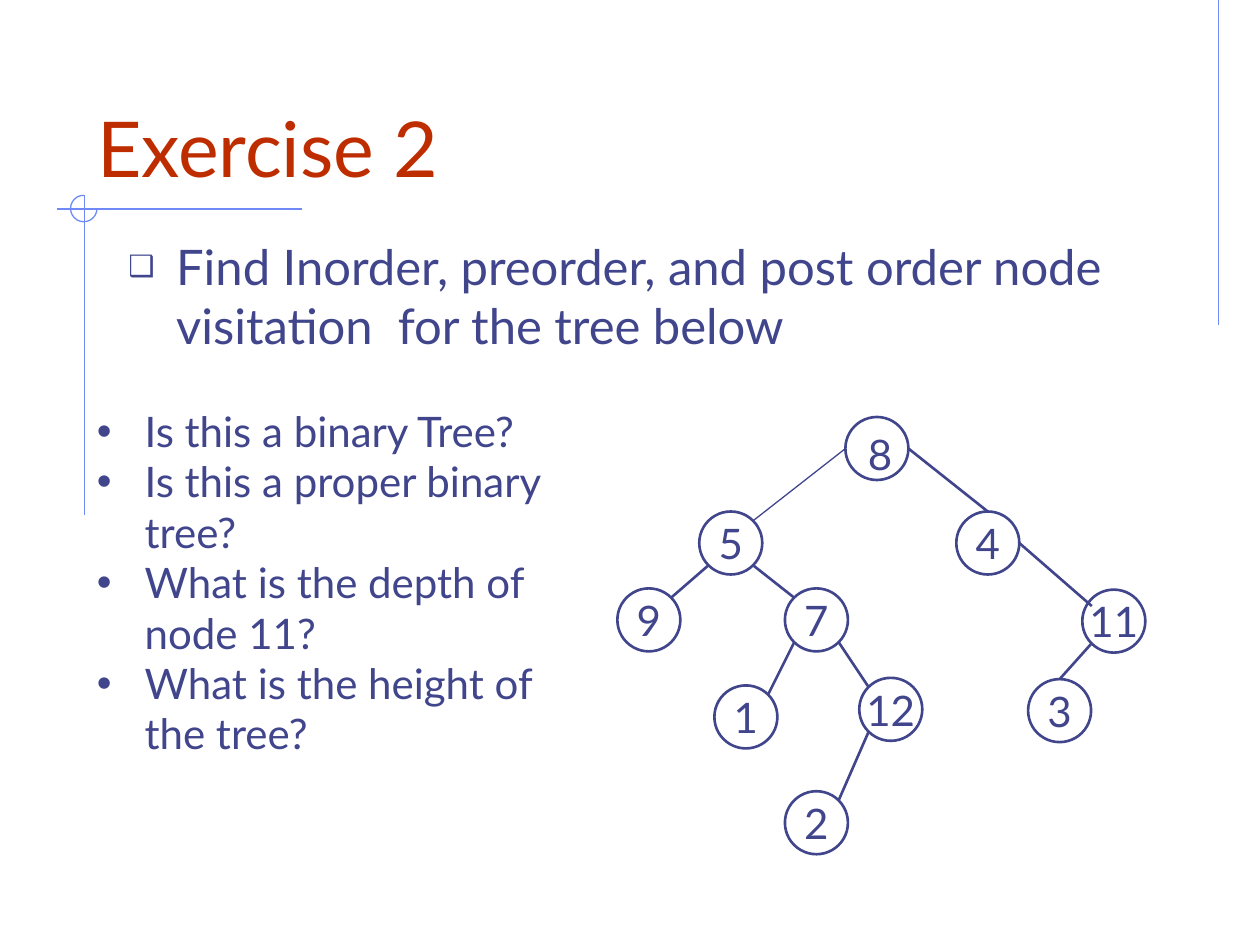
import pptx
import pptx.util
import pptx.dml.color
import pptx.enum.shapes
import pptx.enum.text
import pptx.oxml.ns
from lxml import etree

Inches, Pt = pptx.util.Inches, pptx.util.Pt
RGBColor = pptx.dml.color.RGBColor
SHAPE = pptx.enum.shapes.MSO_SHAPE
ANCHOR = pptx.enum.text.MSO_ANCHOR
ALIGN = pptx.enum.text.PP_ALIGN
FIT = pptx.enum.text.MSO_AUTO_SIZE
qn = pptx.oxml.ns.qn

INDIGO = RGBColor(0x40, 0x45, 0x8C)
RUST = RGBColor(0xBE, 0x2D, 0x00)
PERIWINKLE = RGBColor(0x6F, 0x89, 0xF7)

NODE_SIZE = 0.5
NODES = {
    "5": (5.55, 4.06), "8": (6.71, 3.31), "4": (7.59, 4.06),
    "11": (8.59, 4.68), "3": (8.16, 5.39), "7": (6.23, 4.67),
    "9": (4.9, 4.67), "12": (6.82, 5.38), "1": (5.67, 5.44),
    "2": (6.23, 6.28),
}
SITES = {
    "top": (0.5, 0), "left": (0, 0.5), "right": (1, 0.5),
    "nw": (0.15, 0.15), "ne": (0.85, 0.15),
    "sw": (0.15, 0.85), "se": (0.85, 0.85), "inner": (0.15, 0.26),
}
EDGES = [
    ("8", "left", "5", "ne", 0.75), ("8", "right", "4", "top", 1.5),
    ("4", "right", "11", "inner", 1.5), ("5", "sw", "9", "ne", 1.5),
    ("5", "se", "7", "nw", 1.5), ("7", "sw", "1", "ne", 1.5),
    ("7", "se", "12", "nw", 1.5), ("12", "sw", "2", "ne", 1.5),
    ("11", "sw", "3", "top", 1.5),
]
QUESTIONS = [
    "Is this a binary Tree?",
    "Is this a proper binary tree?",
    "What is the depth of node 11?",
    "What is the height of the tree?",
]


class Deck:
    font = "Lato"

    def __init__(self, width, height):
        self.prs = pptx.Presentation()
        self.prs.slide_width = Inches(width)
        self.prs.slide_height = Inches(height)
        self.s = self.prs.slides.add_slide(self.prs.slide_layouts[5])

    def apply(self, obj, values):
        for name, value in values.items():
            setattr(obj, name, value)

    def fill_text(self, tf, lines, size, color=INDIGO, align=ALIGN.LEFT, **frame):
        self.apply(tf, frame)
        for i, line in enumerate(lines):
            p = tf.add_paragraph() if i else tf.paragraphs[0]
            p.alignment = align
            r = p.add_run()
            r.text = line
            self.apply(r.font, {"name": self.font, "size": Pt(size)})
            r.font.color.rgb = color

    def bullet(self, p, char, percent=100):
        pPr = p._p.get_or_add_pPr()
        pPr.set("marL", str(Inches(0.38)))
        pPr.set("indent", str(-Inches(0.38)))
        for tag, key, value in (
            ("a:buSzPct", "val", str(percent * 1000)),
            ("a:buFont", "typeface", "Arial"),
            ("a:buChar", "char", char),
        ):
            etree.SubElement(pPr, qn(tag)).set(key, value)

    def title(self, text, x, y, w, h):
        sp = self.s.shapes.title
        self.apply(sp, {"left": Inches(x), "top": Inches(y),
                        "width": Inches(w), "height": Inches(h)})
        self.fill_text(sp.text_frame, [text], 44, RUST,
                       vertical_anchor=ANCHOR.BOTTOM, auto_size=FIT.NONE)

    def text(self, lines, x, y, w, h, size, **options):
        sp = self.s.shapes.add_textbox(Inches(x), Inches(y), Inches(w), Inches(h))
        self.fill_text(sp.text_frame, lines, size, **options)
        return sp.text_frame

    def outline(self, kind, x, y, size, color, weight):
        sp = self.s.shapes.add_shape(kind, Inches(x), Inches(y), Inches(size), Inches(size))
        sp.shadow.inherit = False
        sp.fill.background()
        sp.line.color.rgb = color
        sp.line.width = Pt(weight)
        return sp

    def node(self, label, x, y):
        sp = self.outline(SHAPE.OVAL, x, y, NODE_SIZE, INDIGO, 1.5)
        if label:
            self.fill_text(sp.text_frame, [label], 24, align=ALIGN.CENTER,
                           word_wrap=False, vertical_anchor=ANCHOR.MIDDLE)

    def line(self, start, end, color, weight):
        points = [Inches(v) for v in (*start, *end)]
        c = self.s.shapes.add_connector(pptx.enum.shapes.MSO_CONNECTOR.STRAIGHT, *points)
        c.line.color.rgb = color
        c.line.width = Pt(weight)
        etree.SubElement(c._element.spPr, qn("a:effectLst"))


def site_point(label, site):
    x, y = NODES[label]
    fx, fy = SITES[site]
    return x + fx * NODE_SIZE, y + fy * NODE_SIZE


def main():
    deck = Deck(10, 7.5)
    for start, end in (((9.67, 0), (9.67, 2.58)),
                       ((2.4, 1.66), (0.45, 1.66)),
                       ((0.67, 1.55), (0.67, 4.09))):
        deck.line(start, end, PERIWINKLE, 0.75)
    arc = deck.outline(SHAPE.ARC, 0.56, 1.55, 0.21, PERIWINKLE, 0.75)
    arc.adjustments[0] = 0
    arc.adjustments[1] = 162

    deck.title("Exercise 2", 0.67, 0.33, 8.5, 1.25)
    tf = deck.text(
        ["Find Inorder, preorder, and post order node visitation  for the tree below"],
        0.92, 1.83, 8.5, 1.25, 28, word_wrap=True)
    tf.paragraphs[0].space_before = Pt(5.6)
    deck.bullet(tf.paragraphs[0], "❑", 60)

    for label, (x, y) in NODES.items():
        deck.node("" if label == "8" else label, x, y)
    for parent, exit_site, child, entry_site, weight in EDGES:
        deck.line(site_point(parent, exit_site), site_point(child, entry_site),
                  INDIGO, weight)
    deck.text(["8"], 6.79, 3.35, 0.39, 0.51, 24, align=ALIGN.CENTER,
              word_wrap=False, auto_size=FIT.SHAPE_TO_FIT_TEXT)

    tf = deck.text(QUESTIONS, 0.67, 3.17, 4, 2.93, 24,
                   word_wrap=True, auto_size=FIT.SHAPE_TO_FIT_TEXT)
    for p in tf.paragraphs:
        deck.bullet(p, "•")

    deck.prs.save("out.pptx")


if __name__ == "__main__":
    main()
